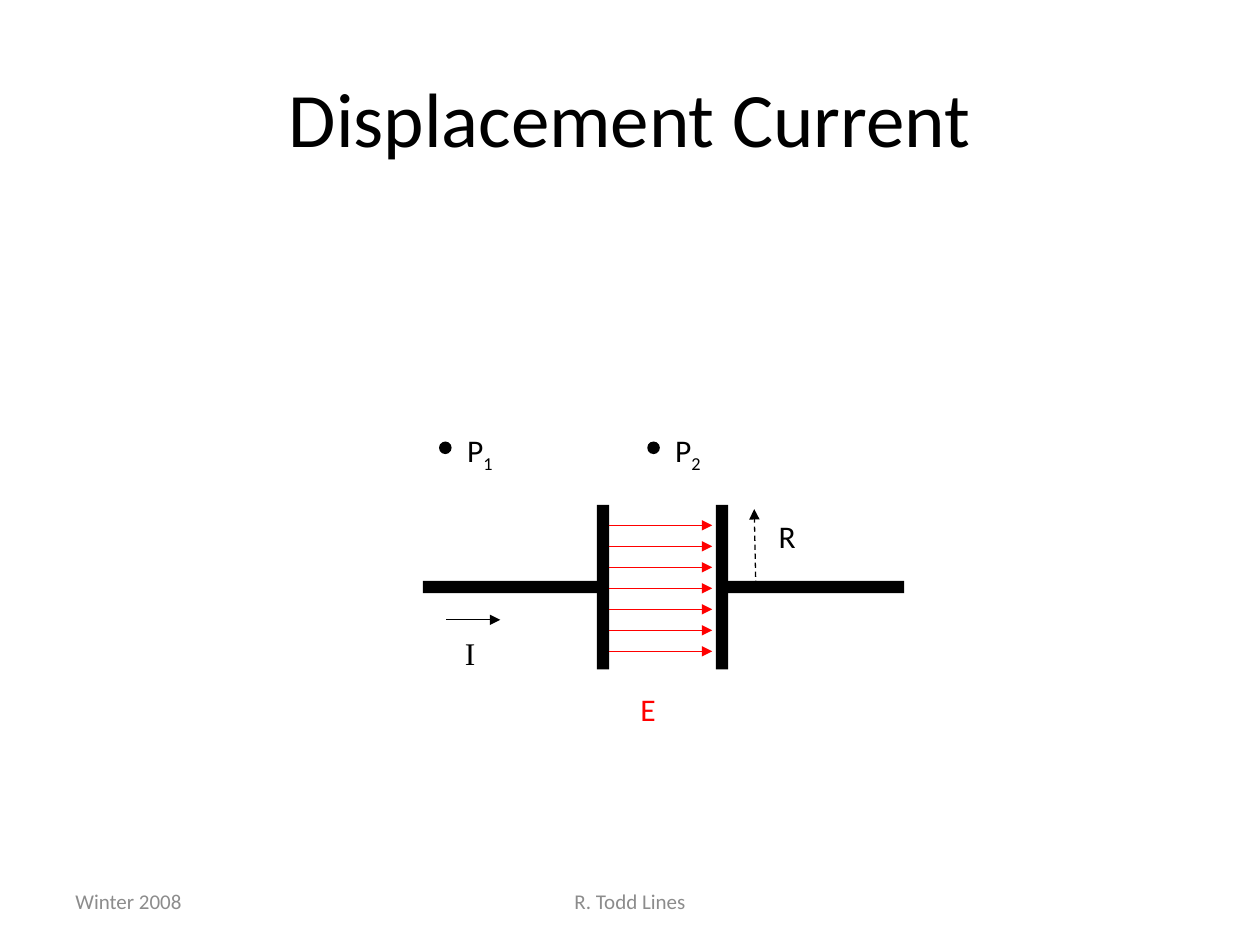
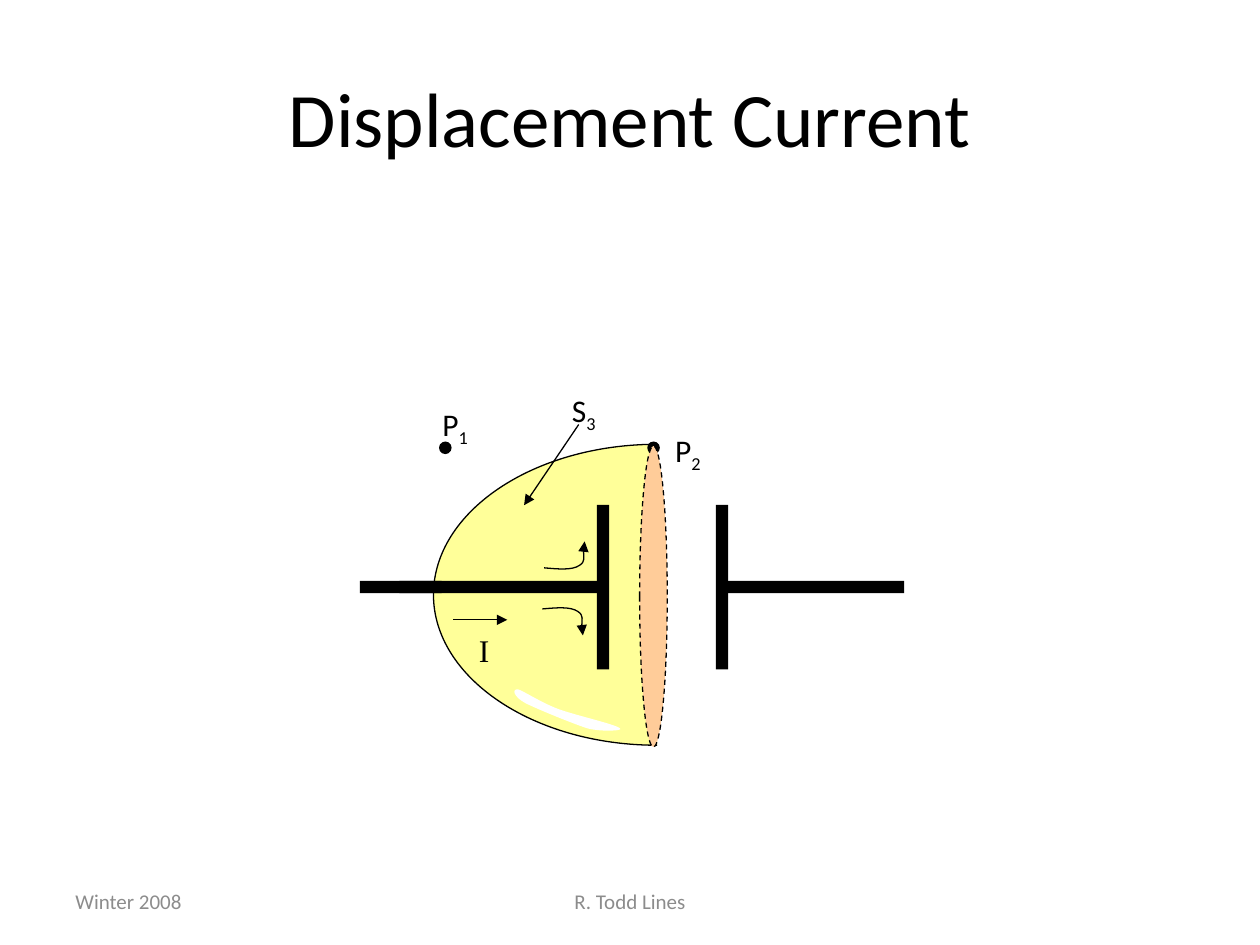
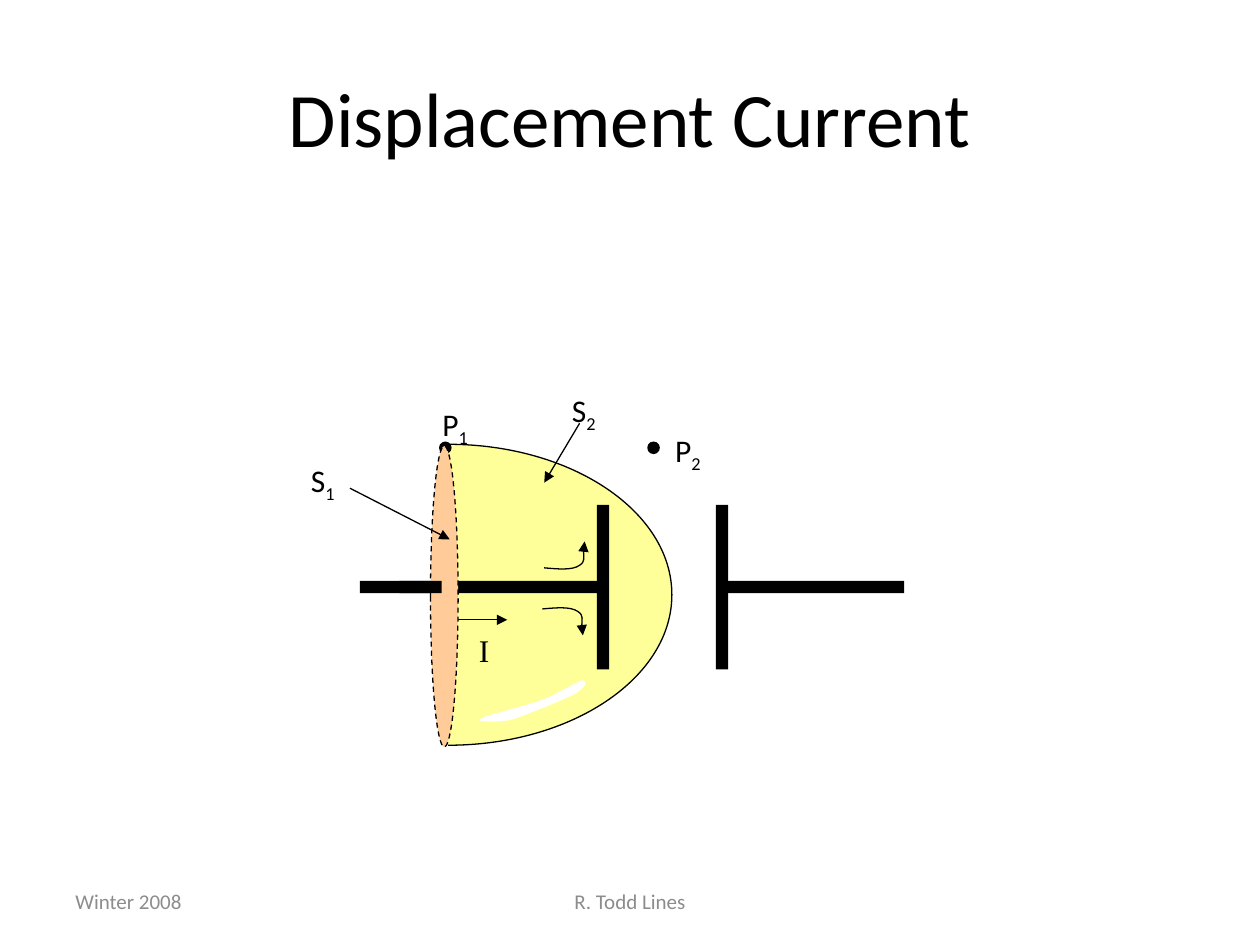
from dataclasses import dataclass

from lxml.etree import SubElement
from pptx import Presentation
from pptx.dml.color import RGBColor
from pptx.enum.dml import MSO_LINE_DASH_STYLE as Dash
from pptx.enum.shapes import MSO_CONNECTOR as Connector, MSO_SHAPE as Shape
from pptx.enum.text import MSO_ANCHOR as Anchor, MSO_AUTO_SIZE as AutoSize, PP_ALIGN as Align
from pptx.oxml.ns import qn
from pptx.util import Pt


@dataclass(frozen=True)
class Theme:
    ink: str = "000000"
    field: str = "FF0000"
    footer: str = "8C8C8C"
    dome: str = "FFFF99"
    rim: str = "FFCC99"
    shine: str = "FFFFFF"
    sans: str = "Calibri"
    serif: str = "Times New Roman"
    title_size: int = 44
    label_size: int = 18
    footer_size: int = 12
    line_width: float = 0.75


theme = Theme()

# ---- Content: lengths in points ----
TITLE = "Displacement Current"
TITLE_BOX = (36, 21.6, 648, 90)
FOOTERS = [("Winter 2008", (36, 500.4, 168, 28.8), Align.LEFT),
           ("R. Todd Lines", (246, 500.4, 228, 28.8), Align.CENTER)]

# Capacitor shared by all slides
BAR = 7
PLATE_CENTERS, PLATE_TOP, PLATE_HEIGHT = (344.6, 412.6), 288.6, 94
WIRE_Y = 335.4
RIGHT_WIRE = (414.7, 516.6)
POINT_LEFTS, POINT_TOP, POINT_SIZE = (250.9, 369.9), 252.3, 7.2
CURRENT_Y, CURRENT_LENGTH = 354.2, 31
LABEL_HEIGHT = 26.6

# Electric field and plate radius
FIELD = dict(left=347.8, right=407, top=300.2, gap=12, count=7)
RADIUS_ARROW = ((431.9, 334.8), (431, 290.9))

# Curves: a start, then cubic segments (control, control, end)
BEND = [(311, 324.5),
        (319, 325.2), (326.9, 326), (331.2, 323.1),
        (334.8, 320.9), (332.6, 311.6), (334.1, 309.4)]
BEND_MIRROR_SUM, BEND_SHIFT = 672.5, -1
DOME_TOP, DOME_HEIGHT = 253.9, 172
DOME = [(0, 0),
        (70.6, 0), (127.8, 38.5), (127.8, 86),
        (127.8, 133.5), (70.6, 172), (0, 172)]
SHINE = [(0, 0),
         (2.2, -2.2), (24.5, -7.2), (34.6, -10.8),
         (44.6, -14.4), (55.4, -21.6), (58.3, -22.3),
         (61.9, -22.3), (60.5, -18), (54, -14.4),
         (46.8, -10.8), (27.4, -2.9), (18.7, 0),
         (10.1, 2.2), (-2.9, 1.4), (0, 0)]
RIM_TOP, RIM_WIDTH = 254.9, 15.8

# Labels: letter, subscript, left, top, width, format
P2 = ("P", "2", 378.7, 242.6, 31, {})
P1_ABOVE = ("P", "1", 245.7, 227.9, 31, {})
SERIF = {"name": theme.serif}
CURRENT_LABEL = ("I", "", 266.6, 357.1, 20.2, SERIF)
LONG_WIRE, STUB_WIRE = (228.2, 343.4), (205.6, 252.4)

SLIDES = [
    dict(wire=(241.6, 343.4), current=254.9, surface=None, pointers=[],
         labels=[("P", "1", 259.9, 242.6, 31, {}), P2,
                 ("I", "", 258.5, 358.6, 20.2, SERIF),
                 ("E", "", 358.8, 391, 25.2, {"color": theme.field}),
                 ("R", "", 437.8, 292, 25.9, {})]),
    dict(wire=LONG_WIRE, current=258.9,
         surface=dict(side=-1, edge=375.5, rim=365.5, shine=(354.2, 416.2)),
         pointers=[((330.7, 242.6), (299.5, 288.7))],
         labels=[P1_ABOVE, P2, CURRENT_LABEL, ("S", "3", 319.7, 220, 36.7, {})]),
    dict(wire=LONG_WIRE, current=258.9, grouped=True,
         surface=dict(side=1, edge=256.1, rim=246, shine=(274.3, 411.1)),
         pointers=[((200, 279), (257, 308.2)), ((331.2, 241.9), (311, 275.8))],
         labels=[P1_ABOVE, P2, CURRENT_LABEL, ("S", "1", 170.6, 259.9, 31, {}),
                 ("S", "2", 319.7, 220, 31, {})]),
]


# ---- Formatting ----
def set_font(font, size, color=theme.ink, name=theme.sans):
    for key, value in {"name": name, "size": Pt(size)}.items():
        setattr(font, key, value)
    font.color.rgb = RGBColor.from_string(color)


def set_line(shape, color=theme.ink, dashed=False, arrow=False):
    shape.line.color.rgb = RGBColor.from_string(color)
    shape.line.width = Pt(theme.line_width)
    if dashed:
        shape.line.dash_style = Dash.DASH
    if arrow:
        SubElement(shape.get_or_add_ln(), qn("a:tailEnd"), type="triangle")


def set_look(shape, fill=None, outlined=False, **line):
    shape.shadow.inherit = False
    if fill:
        shape.fill.solid()
        shape.fill.fore_color.rgb = RGBColor.from_string(fill)
    else:
        shape.fill.background()
    if outlined:
        set_line(shape, **line)
    else:
        shape.line.fill.background()


# ---- Drawing ----
def add_solid(shapes, preset, box, fill=theme.ink, **look):
    solid = shapes.add_shape(preset, *map(Pt, box))
    set_look(solid, fill, **look)
    return solid


def add_wire(shapes, span):
    # A bar as upright as the plates, turned on its side
    left, right = span
    length = right - left
    box = ((left + right - BAR) / 2, WIRE_Y - length / 2, BAR, length)
    add_solid(shapes, Shape.RECTANGLE, box).rotation = 270


def add_arrow(shapes, start, end, **line):
    arrow = shapes.add_connector(Connector.STRAIGHT, *map(Pt, (*start, *end)))
    set_line(arrow, arrow=True, **line)
    SubElement(arrow._element.spPr, qn("a:effectLst"))


def add_curve(shapes, points, dx=0, dy=0, flip_x=1, flip_y=1, closed=False, **look):
    start, *rest = [(Pt(dx + flip_x * x), Pt(dy + flip_y * y)) for x, y in points]
    builder = shapes.build_freeform(*start)
    builder.add_line_segments(rest, close=closed)
    curve = builder.convert_to_shape()
    # Every three line steps become one cubic segment
    outline = next(curve._element.iter(qn("a:path")))
    steps = outline.findall(qn("a:lnTo"))
    for first in range(0, len(steps), 3):
        cubic = SubElement(outline, qn("a:cubicBezTo"))
        steps[first].addprevious(cubic)
        for step in steps[first:first + 3]:
            cubic.append(step[0])
            outline.remove(step)
    set_look(curve, **look)


def add_text(shapes, box, text, size, align=Align.LEFT, **font):
    frame = shapes.add_textbox(*map(Pt, box)).text_frame
    frame.word_wrap = True
    paragraph = frame.paragraphs[0]
    paragraph.alignment = align
    run = paragraph.add_run()
    run.text = text
    set_font(run.font, size, **font)
    return frame


def add_label(shapes, letter, subscript, left, top, width, font):
    frame = add_text(shapes, (left, top, width, LABEL_HEIGHT), letter, theme.label_size, **font)
    frame.auto_size = AutoSize.SHAPE_TO_FIT_TEXT
    frame.word_wrap = bool(subscript)
    if subscript:
        run = frame.paragraphs[0].add_run()
        run.text = subscript
        set_font(run.font, theme.label_size, **font)
        run._r.get_or_add_rPr().set("baseline", "-25000")


def add_frame(slide):
    title = slide.shapes.title
    for key, value in zip(("left", "top", "width", "height"), TITLE_BOX):
        setattr(title, key, Pt(value))
    title.text_frame.text = TITLE
    title.text_frame.vertical_anchor = Anchor.MIDDLE
    paragraph = title.text_frame.paragraphs[0]
    paragraph.alignment = Align.CENTER
    set_font(paragraph.runs[0].font, theme.title_size)
    for text, box, align in FOOTERS:
        footer = add_text(slide.shapes, box, text, theme.footer_size, align, color=theme.footer)
        footer.vertical_anchor = Anchor.MIDDLE


def add_capacitor(shapes, wire):
    for center in PLATE_CENTERS:
        add_solid(shapes, Shape.RECTANGLE, (center - BAR / 2, PLATE_TOP, BAR, PLATE_HEIGHT))
    for span in (RIGHT_WIRE, wire):
        add_wire(shapes, span)
    for left in POINT_LEFTS:
        add_solid(shapes, Shape.OVAL, (left, POINT_TOP, POINT_SIZE, POINT_SIZE))


def add_field(shapes):
    for row in range(FIELD["count"]):
        y = FIELD["top"] + row * FIELD["gap"]
        add_arrow(shapes, (FIELD["left"], y), (FIELD["right"], y), color=theme.field)
    add_arrow(shapes, *RADIUS_ARROW, dashed=True)


def add_surface_front(shapes, surface):
    add_solid(shapes, Shape.OVAL, (surface["rim"], RIM_TOP, RIM_WIDTH, DOME_HEIGHT),
              theme.rim, outlined=True, dashed=True)
    add_curve(shapes, BEND, dx=BEND_SHIFT, dy=BEND_MIRROR_SUM, flip_y=-1,
              outlined=True, arrow=True)
    add_curve(shapes, BEND, outlined=True, arrow=True)
    add_wire(shapes, STUB_WIRE)
    add_curve(shapes, SHINE, *surface["shine"], flip_x=surface["side"],
              closed=True, fill=theme.shine)


# ---- Build ----
deck = Presentation()
deck.slide_width, deck.slide_height = Pt(720), Pt(540)
title_only = deck.slide_layouts[5]

for content in SLIDES:
    slide = deck.slides.add_slide(title_only)
    add_frame(slide)
    diagram = slide.shapes
    if content.get("grouped"):
        diagram = diagram.add_group_shape().shapes
    surface = content["surface"]
    if surface:
        add_curve(diagram, DOME, surface["edge"], DOME_TOP, flip_x=surface["side"],
                  fill=theme.dome, outlined=True)
    add_capacitor(diagram, content["wire"])
    for label in content["labels"]:
        add_label(diagram, *label)
    start = content["current"]
    add_arrow(diagram, (start, CURRENT_Y), (start + CURRENT_LENGTH, CURRENT_Y))
    if surface:
        add_surface_front(diagram, surface)
    else:
        add_field(diagram)
    for pointer in content["pointers"]:
        add_arrow(diagram, *pointer)

deck.save("out.pptx")
